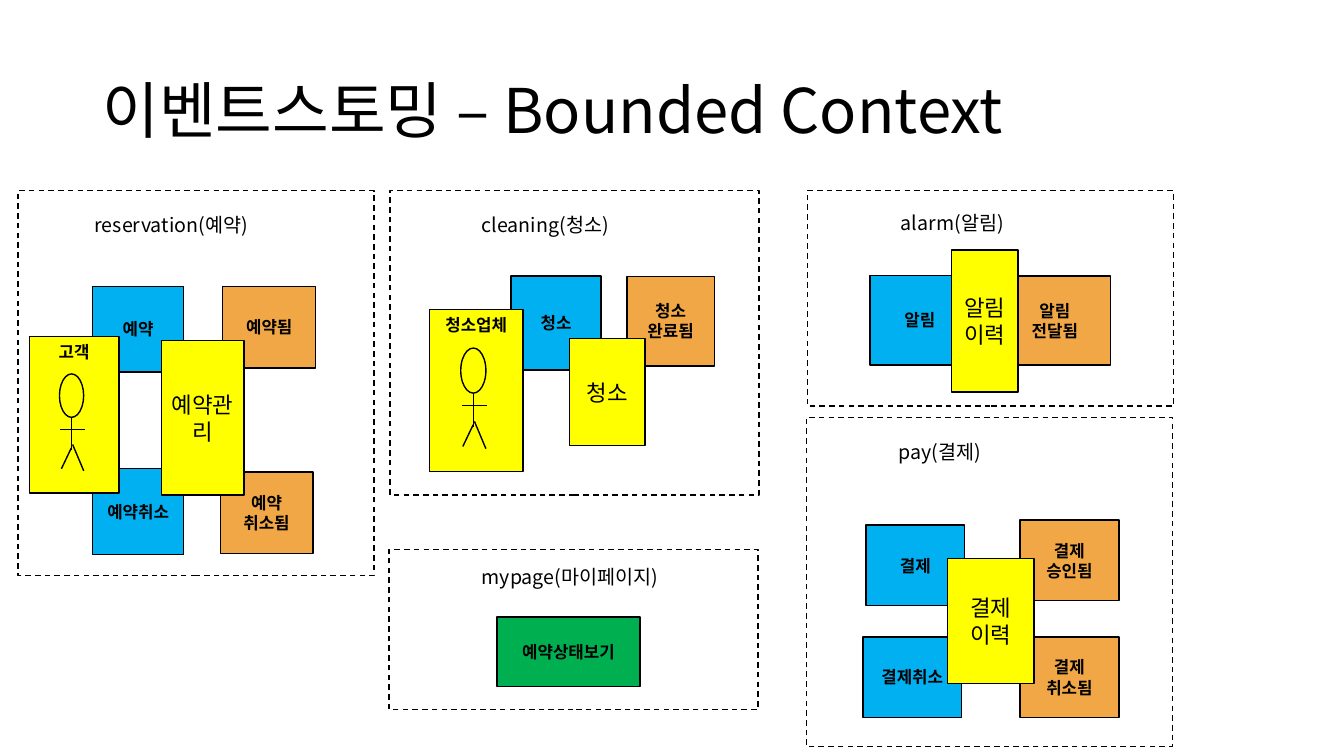
from lxml import etree
from pptx import Presentation
from pptx.dml.color import RGBColor
from pptx.enum import dml, shapes, text
from pptx.oxml.ns import qn
from pptx.util import Pt

FONT = "Noto Sans CJK KR"
BLACK = "000000"
STYLES = {
    "command": ("00B0F0", 12, True, text.MSO_ANCHOR.MIDDLE),
    "event": ("F1A746", 12, True, text.MSO_ANCHOR.MIDDLE),
    "actor": ("FFFF00", 12, True, text.MSO_ANCHOR.TOP),
    "aggregate": ("FFFF00", 16, False, text.MSO_ANCHOR.MIDDLE),
    "view": ("00B050", 12, True, text.MSO_ANCHOR.MIDDLE),
}
FIGURE_HEIGHT = 111.6
FIGURE_LINES = [
    (22.3, 66.2, 39.6, 66.2),
    (30.2, 57.6, 30.2, 80.6),
    (30.2, 79.2, 23, 94.3),
    (31, 77, 38.9, 95.8),
]
CONTEXTS = [
    ("reservation(예약)", (60.5, 148.3, 129.6), (13, 136.1, 254.2, 275), [
        ("event", "예약됨", 159.1, 204.5, 66.5, 58.3),
        ("event", "예약\n취소됨", 157.3, 337, 66.2, 58.3),
        ("command", "예약", 66.2, 204.5, 65, 61.2),
        ("command", "예약취소", 66.2, 334.8, 65, 61.2),
        ("actor", "고객", 20.9, 240.5, 64.1, 111.6),
        ("aggregate", "예약관리", 115.2, 243.4, 59, 110.2),
    ]),
    ("cleaning(청소)", (337, 148.3, 129.6), (278.6, 136.1, 263.5, 217.4), [
        ("event", "청소\n완료됨", 447.8, 197.3, 62.6, 64.1),
        ("command", "청소", 365, 197.3, 64.4, 67),
        ("actor", "청소업체", 306.7, 221, 67, 115.9),
        ("aggregate", "청소", 406.8, 241.9, 54, 76.3),
    ]),
    ("mypage(마이페이지)", (337, 400.3, 149), (277.9, 392.4, 263.5, 114.5), [
        ("view", "예약상태보기", 355, 440.6, 102.2, 49.7),
    ]),
    ("alarm(알림)", (636.5, 146.9, 129.6), (576.7, 136.1, 261.4, 154.1), [
        ("event", "알림\n전달됨", 713.5, 197, 79.9, 63.7),
        ("command", "알림", 621.4, 196.6, 71.3, 64.1),
        ("aggregate", "알림이력", 679.7, 178.6, 47.5, 101.5),
    ]),
    ("pay(결제)", (635, 311, 129.6), (576, 298.1, 261.4, 235.4), [
        ("event", "결제\n승인됨", 728.6, 371.5, 70.6, 57.6),
        ("command", "결제", 618.5, 375.1, 70.6, 57.6),
        ("event", "결제\n취소됨", 728.6, 455, 70.6, 57.6),
        ("command", "결제취소", 616.3, 455, 70.6, 57.6),
        ("aggregate", "결제\n이력", 676.8, 398.9, 61.9, 89.3),
    ]),
]


def write(sp, words, size, bold=False, align=text.PP_ALIGN.LEFT,
          anchor=text.MSO_ANCHOR.TOP):
    tf = sp.text_frame
    tf.text = words
    tf.word_wrap = True
    tf.vertical_anchor = anchor
    for p in tf.paragraphs:
        p.alignment = align
        p.font.name = FONT
        p.font.size = Pt(size)
        p.font.bold = bold
        p.font.color.rgb = RGBColor.from_string(BLACK)
        etree.SubElement(p.font._rPr, qn("a:ea"), typeface=FONT)
    return tf


def draw(parent, preset, box, fill=None):
    sp = parent.add_shape(preset, *[Pt(v) for v in box])
    sp.shadow.inherit = False
    if fill:
        sp.fill.solid()
        sp.fill.fore_color.rgb = RGBColor.from_string(fill)
    else:
        sp.fill.background()
    sp.line.color.rgb = RGBColor.from_string(BLACK)
    sp.line.width = Pt(1)
    return sp


prs = Presentation()
prs.slide_width, prs.slide_height = Pt(960), Pt(540)
s = prs.slides.add_slide(prs.slide_layouts[5])

title = s.shapes.title
title.left, title.top, title.width, title.height = Pt(66), Pt(29), Pt(828), Pt(104.5)
tf = write(title, "이벤트스토밍 – Bounded Context", 44, anchor=text.MSO_ANCHOR.MIDDLE)
tf.paragraphs[0].line_spacing = 0.9

for name, (left, top, width), frame, cards in CONTEXTS:
    group = s.shapes.add_group_shape().shapes
    for kind, words, x, y, w, h in cards:
        fill, size, bold, anchor = STYLES[kind]
        card = draw(group, shapes.MSO_SHAPE.RECTANGLE, (x, y, w, h), fill)
        write(card, words, size, bold, text.PP_ALIGN.CENTER, anchor)
        if kind == "actor":
            k = h / FIGURE_HEIGHT
            head = (x + 21.6 * k, y + 26.6 * k, 17.3 * k, 31 * k)
            draw(group, shapes.MSO_SHAPE.OVAL, head)
            for x1, y1, x2, y2 in FIGURE_LINES:
                limb = group.add_connector(
                    shapes.MSO_CONNECTOR.STRAIGHT,
                    Pt(x + x1 * k), Pt(y + y1 * k), Pt(x + x2 * k), Pt(y + y2 * k))
                limb.line.color.rgb = RGBColor.from_string(BLACK)
                limb.line.width = Pt(1)
                etree.SubElement(limb._element.spPr, qn("a:effectLst"))
    border = draw(group, shapes.MSO_SHAPE.RECTANGLE, frame)
    border.line.dash_style = dml.MSO_LINE.DASH
    label = group.add_textbox(Pt(left), Pt(top), Pt(width), Pt(24.2))
    write(label, name, 14).auto_size = text.MSO_AUTO_SIZE.SHAPE_TO_FIT_TEXT

prs.save("out.pptx")
